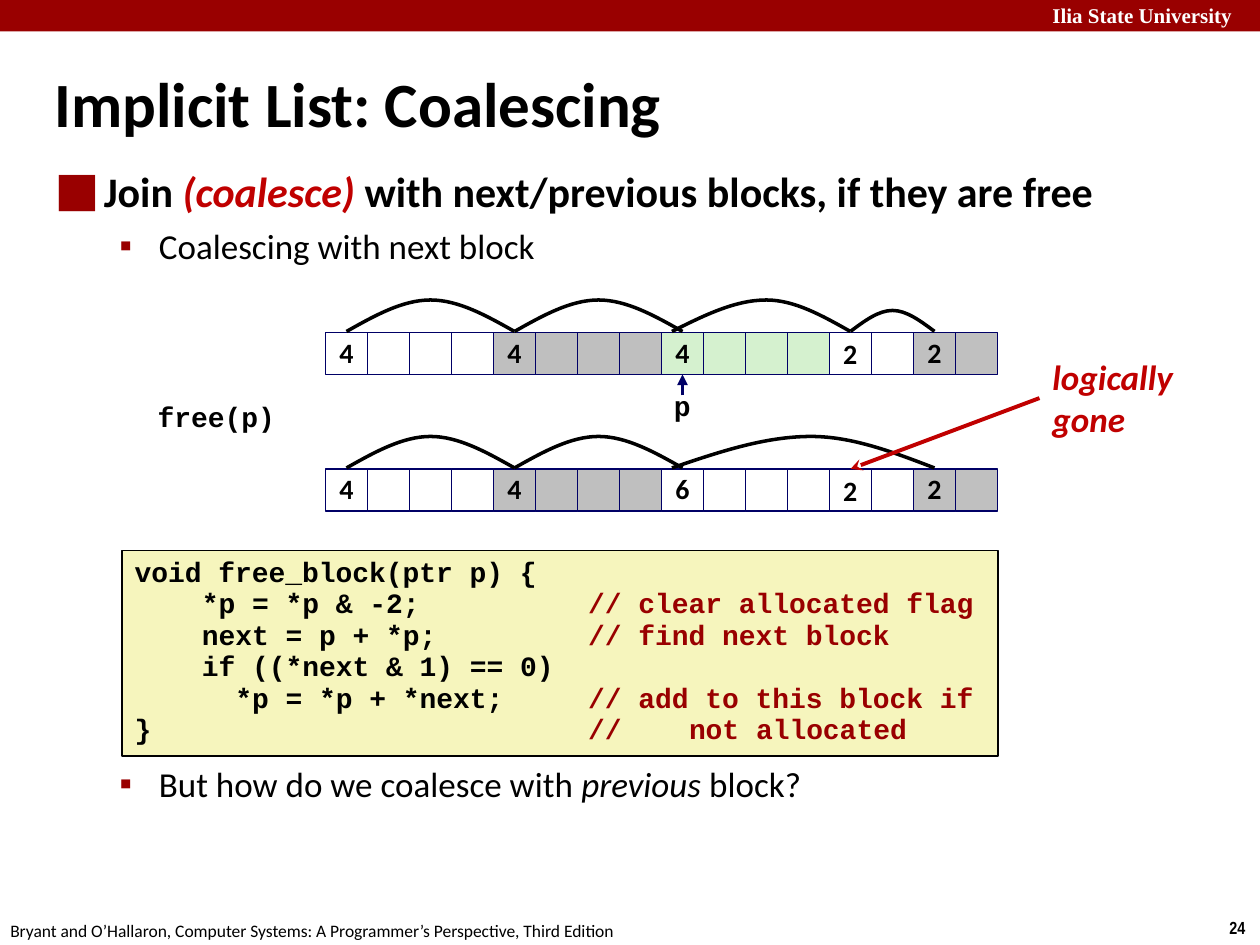
"""Build the slide on coalescing free blocks in an implicit list."""
from lxml import etree
from pptx import Presentation
from pptx.dml.color import RGBColor
from pptx.enum.shapes import MSO_CONNECTOR, MSO_SHAPE
from pptx.enum.text import MSO_ANCHOR, MSO_AUTO_SIZE, PP_ALIGN
from pptx.oxml.ns import qn
from pptx.util import Pt

RECT, STRAIGHT = MSO_SHAPE.RECTANGLE, MSO_CONNECTOR.STRAIGHT
TOP, MIDDLE, NO_FIT = MSO_ANCHOR.TOP, MSO_ANCHOR.MIDDLE, MSO_AUTO_SIZE.NONE
LEFT, CENTER = PP_ALIGN.LEFT, PP_ALIGN.CENTER
BLACK = RGBColor(0x00, 0x00, 0x00)
WHITE = RGBColor(0xFF, 0xFF, 0xFF)
MAROON = RGBColor(0x99, 0x00, 0x00)
RED = RGBColor(0xC0, 0x00, 0x00)
NAVY = RGBColor(0x00, 0x00, 0x66)
GREY = RGBColor(0xBF, 0xBF, 0xBF)
SILVER = RGBColor(0xC0, 0xC0, 0xC0)
GREEN = RGBColor(0xD5, 0xF1, 0xCF)
CREAM = RGBColor(0xF6, 0xF5, 0xBD)
CELL, ROW_LEFT = 24, 186
CHAR, CODE_COLUMNS = 9.6, (4, 6, 27, 33)


def add_run(p, text, size, font="Calibri", color=BLACK, bold=False, italic=False):
    r = p.add_run()
    r.text = text
    r.font.size, r.font.name = Pt(size), font
    r.font.bold, r.font.italic = bold, italic
    r.font.color.rgb = color


def add_rect(x, y, w, h, fill, line=None, width=0.75):
    sp = s.shapes.add_shape(RECT, Pt(x), Pt(y), Pt(w), Pt(h))
    sp.shadow.inherit = False
    sp.fill.solid()
    sp.fill.fore_color.rgb = fill
    if line is None:
        sp.line.fill.background()
    else:
        sp.line.color.rgb = line
        sp.line.width = Pt(width)
    return sp


prs = Presentation()
prs.slide_width, prs.slide_height = Pt(720), Pt(540)
s = prs.slides.add_slide(prs.slide_layouts[5])

add_rect(0, 0, 720, 18, MAROON)

title = s.shapes.title
title.left, title.top, title.width, title.height = Pt(24), Pt(36), Pt(533), Pt(45)
tf = title.text_frame
tf.auto_size, tf.vertical_anchor = NO_FIT, MIDDLE
tf.paragraphs[0].alignment = LEFT
add_run(tf.paragraphs[0], "Implicit List: Coalescing", 36, bold=True)

body = s.shapes.add_textbox(Pt(25.2), Pt(96.2), Pt(654.5), Pt(432))
tf = body.text_frame
tf.word_wrap = True
bullets = [
    ("⬛", 27, 27, 0.83, 0, 24,
     [("Join ", BLACK, True, False), ("(coalesce) ", RED, True, True),
      ("with next/previous blocks, if they are free", BLACK, True, False)]),
    ("▪", 58.5, 22.5, 0.88, 7.5, 20,
     [("Coalescing with next block", BLACK, False, False)]),
    ("▪", 58.5, 22.5, 0.88, 286.5, 20,
     [("But how do we coalesce with ", BLACK, False, False),
      ("previous", BLACK, False, True), (" block?", BLACK, False, False)]),
]
for i, (mark, margin, hang, spacing, before, size, runs) in enumerate(bullets):
    p = tf.add_paragraph() if i else tf.paragraphs[0]
    p.line_spacing, p.space_before = spacing, Pt(before)
    pPr = p._p.get_or_add_pPr()
    pPr.set("marL", str(Pt(margin)))
    pPr.set("indent", str(-Pt(hang)))
    bu_color = etree.SubElement(pPr, qn("a:buClr"))
    etree.SubElement(bu_color, qn("a:srgbClr"), val=str(MAROON))
    etree.SubElement(pPr, qn("a:buFont"), typeface="Calibri")
    etree.SubElement(pPr, qn("a:buChar"), char=mark)
    for text, color, bold, italic in runs:
        add_run(p, text, size, color=color, bold=bold, italic=italic)

code = [
    ("void free_block(ptr p) {", ""),
    ("\t*p = *p & -2;\t", "// clear allocated flag"),
    ("\tnext = p + *p;\t", "// find next block"),
    ("\tif ((*next & 1) == 0)", ""),
    ("\t\t*p = *p + *next;\t", "// add to this block if"),
    ("}\t\t\t", "//\tnot allocated"),
]
sp = add_rect(69.84, 314.64, 500.4, 117.4, CREAM, BLACK, 1)
tf = sp.text_frame
tf.vertical_anchor = TOP
p = tf.paragraphs[0]
p.alignment, p.line_spacing = LEFT, 0.94
tabs = etree.SubElement(p._p.get_or_add_pPr(), qn("a:tabLst"))
for column in CODE_COLUMNS:
    etree.SubElement(tabs, qn("a:tab"), pos=str(Pt(column * CHAR)), algn="l")
for i, (statement, comment) in enumerate(code):
    if i:
        p.add_line_break()
    add_run(p, statement, 16, "Courier New", bold=True)
    if comment:
        add_run(p, comment, 16, "Courier New", MAROON, True)

heaps = [
    (190, [(4, WHITE, "4"), (4, GREY, "4"), (4, GREEN, "4"), (2, WHITE, ""), (2, SILVER, "2")],
     [(198, 246, 294, 18), (294, 342, 390, 18), (384, 438, 486, 18), (486, 510, 534, 12)]),
    (268, [(4, WHITE, "4"), (4, GREY, "4"), (4, WHITE, "6"), (2, WHITE, ""), (2, SILVER, "2")],
     [(198, 246, 294, 18), (294, 342, 390, 18), (384, 463.5, 534, 18)]),
]
for top, blocks, arcs in heaps:
    x = ROW_LEFT
    for words, fill, header in blocks:
        for word in range(words):
            sp = add_rect(x, top, CELL, CELL, fill, NAVY)
            if header and word == 0:
                tf = sp.text_frame
                tf.vertical_anchor = MIDDLE
                p = tf.paragraphs[0]
                p.alignment, p.line_spacing = CENTER, 0.98
                add_run(p, header, 16, bold=True)
            x += CELL
    for start, peak, end, height in arcs:
        base = top - 0.6
        fb = s.shapes.build_freeform(Pt(start), Pt(base))
        fb.add_line_segments([(Pt(peak), Pt(base - height)), (Pt(end), Pt(base))], close=False)
        sp = fb.convert_to_shape()
        sp.shadow.inherit = False
        sp.fill.background()
        sp.line.color.rgb, sp.line.width = BLACK, Pt(2)
        rise, run = peak - start, end - peak
        curves = [
            [(rise / 3, height / 2), (rise * 2 / 3, 0), (rise, 0)],
            [(rise + run / 3, 0), (rise + run * 2 / 3, height / 2), (rise + run, height)],
        ]
        for segment, points in zip(list(sp._element.iter(qn("a:lnTo"))), curves):
            curve = etree.Element(qn("a:cubicBezTo"))
            for dx, dy in points:
                etree.SubElement(curve, qn("a:pt"), x=str(Pt(dx)), y=str(Pt(dy)))
            segment.getparent().replace(segment, curve)

arrows = [
    (390, 226, 390, 214, NAVY, 2, "triangle"),
    (594, 227.5, 486, 268, RED, 2.25, "stealth"),
]
for x1, y1, x2, y2, color, width, head in arrows:
    cn = s.shapes.add_connector(STRAIGHT, Pt(x1), Pt(y1), Pt(x2), Pt(y2))
    cn.line.color.rgb, cn.line.width = color, Pt(width)
    etree.SubElement(cn.line._get_or_add_ln(), qn("a:tailEnd"), type=head)
    etree.SubElement(cn._element.spPr, qn("a:effectLst"))

FOOTER = "Bryant and O’Hallaron, Computer Systems: A Programmer’s Perspective, Third Edition"
labels = [
    (594.3, -2, 131, 22, ["Ilia State University"], 12, "Times New Roman", WHITE, True, False, 1),
    (695.5, 520.5, 24.5, 19.5, ["24"], 10, "Arial Narrow", BLACK, True, False, 1),
    (-1.2, 522, 366, 19.5, [FOOTER], 10, "Calibri", BLACK, False, False, 1),
    (83, 226.5, 83, 26, ["free(p)"], 16, "Courier New", BLACK, True, False, 0.94),
    (378, 220.3, 24, 26, ["p"], 16, "Courier New", BLACK, True, False, 0.94),
    (474.7, 189.5, 22.6, 26.6, ["2"], 16, "Calibri", BLACK, True, False, 0.98),
    (474.7, 267.8, 22.6, 26.6, ["2"], 16, "Calibri", BLACK, True, False, 0.98),
    (594.3, 199.5, 83.5, 55.5, ["logically", "gone"], 20, "Calibri", RED, True, True, 1),
]
for x, y, w, h, lines, size, font, color, bold, italic, spacing in labels:
    tf = s.shapes.add_textbox(Pt(x), Pt(y), Pt(w), Pt(h)).text_frame
    tf.word_wrap = True
    for i, line in enumerate(lines):
        p = tf.add_paragraph() if i else tf.paragraphs[0]
        p.line_spacing = spacing
        add_run(p, line, size, font, color, bold, italic)

prs.save("out.pptx")
